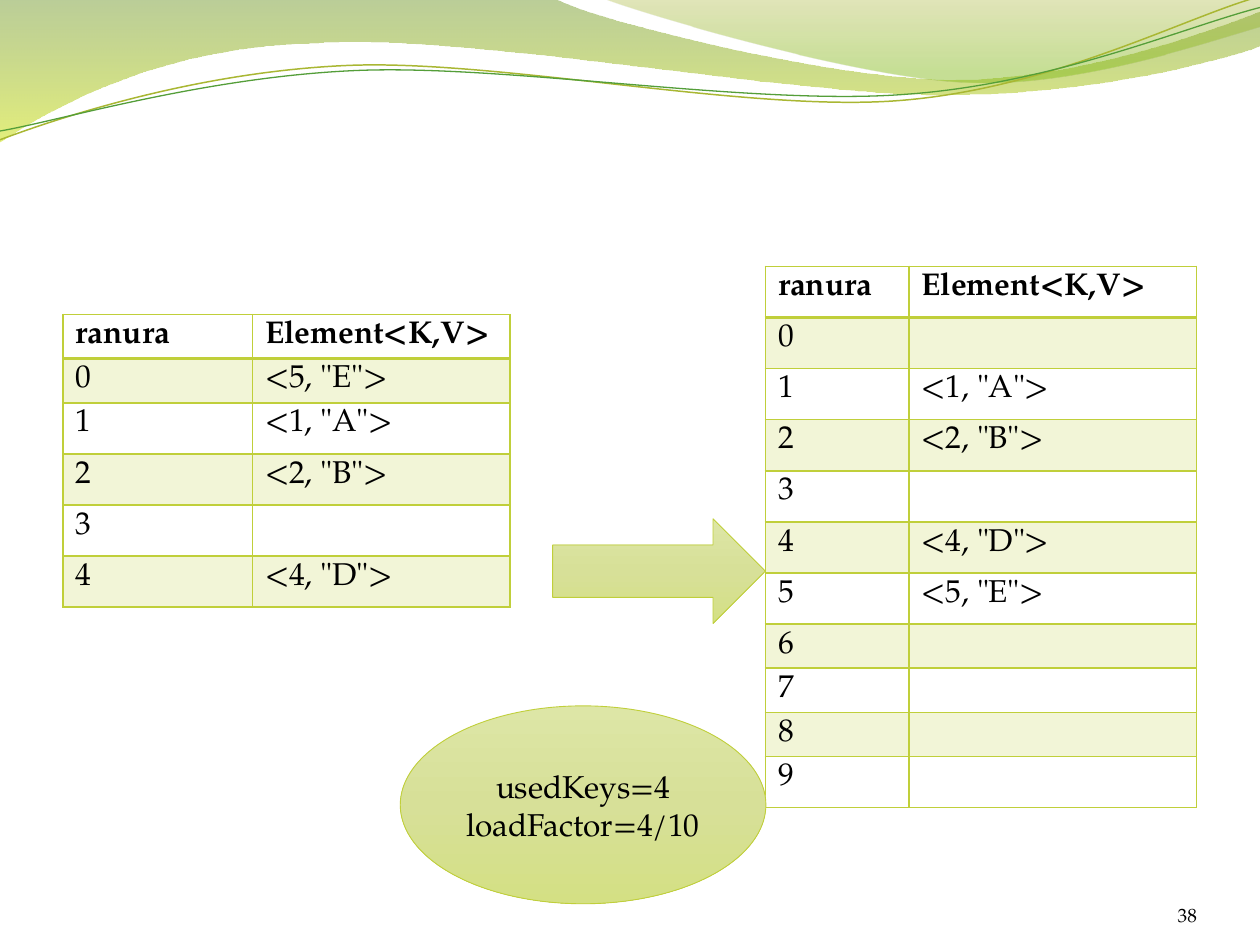
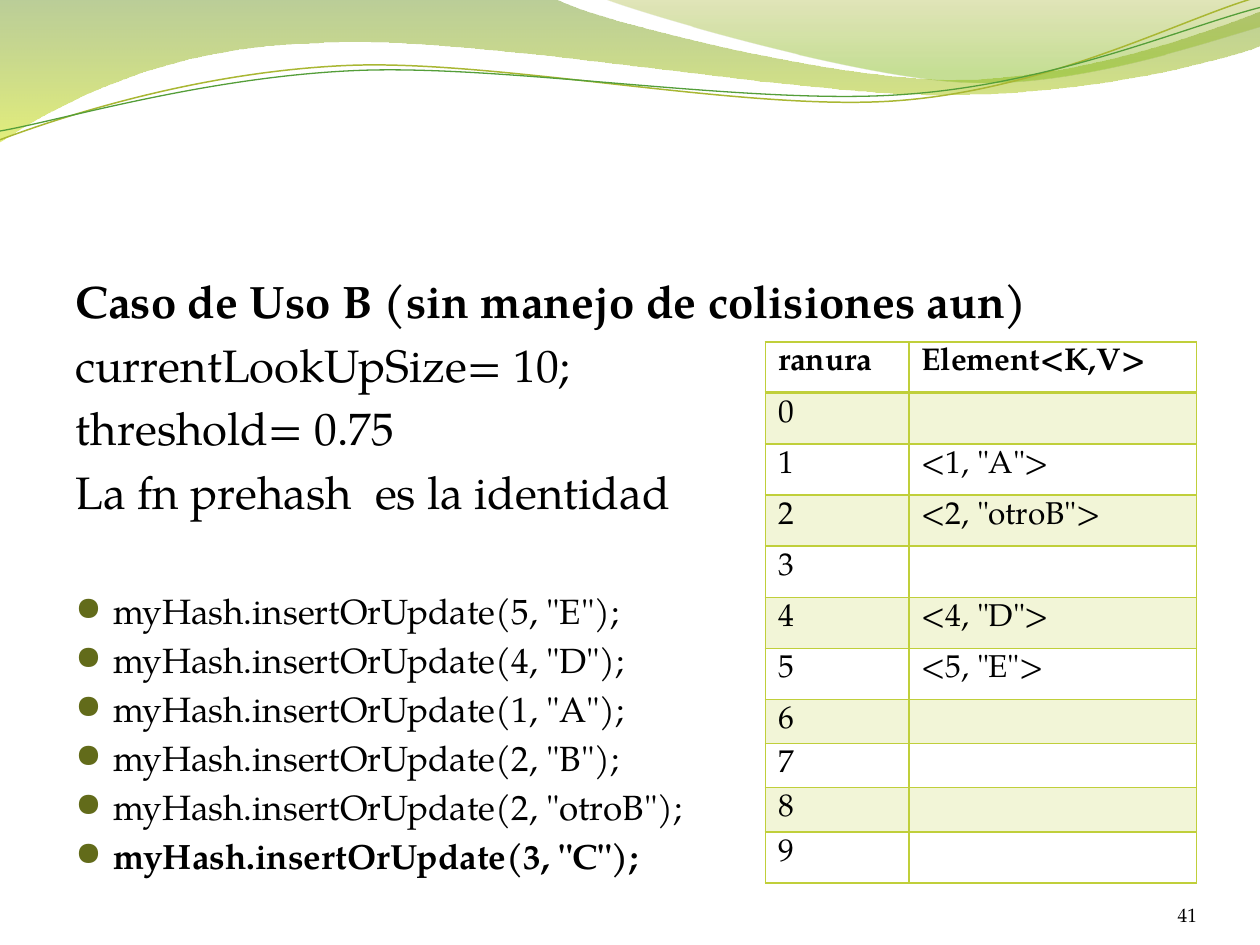
from math import cos, radians, sin

from lxml import etree
from pptx import Presentation
from pptx.dml.color import RGBColor
from pptx.enum import shapes, text
from pptx.oxml.ns import qn
from pptx.util import Cm, Pt

FONT = "TeX Gyre Pagella"
BLACK, LIME, OLIVE = "000000", "C0CF3A", "626B1A"
WIDTH, HEIGHT = Cm(25.4), Cm(19.05)
UNIT = WIDTH / 10  # the wave coordinates divide the slide width into ten

# Each step is a line (x, y) or a curve (two control points and an end point).
# Gradient stops: position, colour, opacity, all in percent.
BANDS = [
    ([(0, 0), (4.4, -0.01),
      (4.75, 0.17, 6.63, 0.63, 7.58, 0.63), (8.53, 0.63, 9.58, 0.26, 10, 0.09),
      (10.01, 0.36),
      (9.83, 0.44, 8.69, 0.76, 7.46, 0.75), (6.22, 0.75, 3.81, 0.28, 2.57, 0.34),
      (1.29, 0.36, 0.46, 0.83, -0.01, 1.13), (0, 0)],
     [(0, "69921C", 45), (100, "CCE10F", 55)]),
    ([(4.79, -0.01),
      (5.09, 0.11, 6.82, 0.62, 7.68, 0.65), (8.55, 0.69, 9.61, 0.32, 10, 0.21),
      (10, 0), (4.79, -0.01)],
     [(0, "9BAA1A", 30), (80, "81BA16", 45)]),
]
WAVE_TILT = -2.7
# Steps, centre of the tilt, colour, line width
WAVES = [
    ([(0, 1.11), (0.48, 0.93, 1.57, 0.57, 2.76, 0.52),
      (3.95, 0.47, 5.92, 0.89, 7.12, 0.8), (8.33, 0.71, 9.38, 0.15, 9.97, -0.02)],
     (4.99, 0.58), "A9B733", 0.85),
    ([(0, 1.04), (0.47, 0.96, 1.63, 0.61, 2.83, 0.56),
      (4.02, 0.51, 5.97, 0.84, 7.17, 0.75), (8.36, 0.67, 9.41, 0.21, 10, 0.06)],
     (5, 0.59), "549E39", 0.75),
]
LIME_GRADIENT = [(0, "DDE6A6", 100), (50, "D7E098", 100), (100, "D4E084", 100)]

HEADER = ("ranura", "Element<K,V>")
SMALL_TABLE = ['<5, "E">', '<1, "A">', '<2, "B">', "", '<4, "D">']
GROWN_TABLE = ["", '<1, "A">', '<2, "B">', "", '<4, "D">', '<5, "E">', "", "", "", ""]
UPDATED_TABLE = [slot.replace('"B"', '"otroB"') for slot in GROWN_TABLE]

TALL, SHORT = Cm(1.03), Cm(0.88)
SMALL_ROWS = [SHORT] * 2 + [TALL] * 4
GROWN_ROWS = [TALL] * 7 + [SHORT] * 3 + [TALL]
SMALL_COLUMNS = Cm(3.82), Cm(5.19)
GROWN_COLUMNS = Cm(2.89), Cm(5.8)
GROWN_LEFT = Cm(15.43)

LOAD_STATE = ["usedKeys=4", "loadFactor=4/10"]
USE_CASE = [
    "Caso de Uso B (sin manejo de colisiones aun)",
    "currentLookUpSize= 10;",
    "threshold= 0.75",
    "La fn prehash  es la identidad",
]
CALLS = [f"myHash.insertOrUpdate({pair});" for pair in
         ('5, "E"', '4, "D"', '1, "A"', '2, "B"', '2, "otroB"', '3, "C"')]


def rgb(value):
    return RGBColor.from_string(value)


def add_color(parent, value, opacity=100):
    color = etree.SubElement(parent, qn("a:srgbClr"), val=value)
    if opacity < 100:
        etree.SubElement(color, qn("a:alpha"), val=str(opacity * 1000))


def set_font(paragraph, size, bold=False):
    font = paragraph.font
    font.name, font.size, font.bold = FONT, Pt(size), bold
    font.color.rgb = rgb(BLACK)


def fill_gradient(shape, stops):
    """Fill a shape from top to bottom."""
    shape.fill.gradient()
    shape.fill.gradient_angle = 270
    stop_list = shape.element.spPr.find(qn("a:gradFill")).find(qn("a:gsLst"))
    for stop in list(stop_list):
        stop_list.remove(stop)
    for position, color, opacity in stops:
        stop = etree.SubElement(stop_list, qn("a:gs"), pos=str(position * 1000))
        add_color(stop, color, opacity)


def turn(point, center, angle):
    """Turn a point clockwise around a center."""
    x, y = point[0] - center[0], point[1] - center[1]
    cosine, sine = cos(radians(angle)), sin(radians(angle))
    return center[0] + x * cosine - y * sine, center[1] + x * sine + y * cosine


def add_outline(page, steps, close, center=(0, 0), tilt=0):
    """Draw lines and curves: lines through all points, then curves from each three."""
    points = [turn(step[i:i + 2], center, -tilt)
              for step in steps for i in range(0, len(step), 2)]
    points = [(round(x * UNIT), round(y * UNIT)) for x, y in points]
    builder = page.shapes.build_freeform(*points[0])
    builder.add_line_segments(points[1:], close=close)
    shape = builder.convert_to_shape()
    segments = iter(list(shape.element.iter(qn("a:lnTo"))))
    for step in steps[1:]:
        segment = next(segments)
        if len(step) == 6:
            curve = etree.Element(qn("a:cubicBezTo"))
            segment.addprevious(curve)
            for part in (segment, next(segments), next(segments)):
                curve.append(part[0])
                part.getparent().remove(part)
    shape.rotation = tilt
    shape.shadow.inherit = False
    return shape


def add_page(deck, number):
    """Add a blank page with the waves on top and its number."""
    page = deck.slides.add_slide(deck.slide_layouts[6])
    for steps, stops in BANDS:
        band = add_outline(page, steps, True)
        fill_gradient(band, stops)
        band.line.fill.background()
    for steps, center, color, width in WAVES:
        wave = add_outline(page, steps, False, center, WAVE_TILT)
        wave.fill.background()
        wave.line.color.rgb = rgb(color)
        wave.line.width = Pt(width)
    box = page.shapes.add_textbox(Cm(22.02), Cm(17.65), Cm(2.11), Cm(1.02))
    frame = box.text_frame
    frame.word_wrap = True
    frame.margin_left = frame.margin_right = frame.margin_top = frame.margin_bottom = 0
    frame.vertical_anchor = text.MSO_ANCHOR.BOTTOM
    paragraph = frame.paragraphs[0]
    paragraph.text = str(number)
    paragraph.alignment = text.PP_ALIGN.RIGHT
    set_font(paragraph, 11)
    return page


def style_cell(cell, top, bottom, shaded):
    """Set the border widths and the pale fill of a cell."""
    properties = cell._tc.get_or_add_tcPr()
    for side, width in (("L", 1), ("R", 1), ("T", top), ("B", bottom)):
        line = etree.SubElement(properties, qn(f"a:ln{side}"), w=str(Pt(width)))
        add_color(etree.SubElement(line, qn("a:solidFill")), LIME)
    if shaded:
        add_color(etree.SubElement(properties, qn("a:solidFill")), LIME, 20)
    else:
        cell.fill.background()


def add_hash_table(page, left, top, columns, heights, slots):
    rows = [HEADER] + [(str(index), slot) for index, slot in enumerate(slots)]
    table = page.shapes.add_table(len(rows), len(columns), left, top,
                                  sum(columns), sum(heights)).table
    for column, width in zip(table.columns, columns):
        column.width = width
    for index, (row, height, values) in enumerate(zip(table.rows, heights, rows)):
        row.height = height
        for cell, value in zip(row.cells, values):
            style_cell(cell, 2 if index == 1 else 1, 2 if index == 0 else 1, index % 2)
            cell.margin_bottom = 0
            paragraph = cell.text_frame.paragraphs[0]
            if value:
                paragraph.text = value
            set_font(paragraph, 18, bold=index == 0)


def add_lime_shape(page, kind, left, top, width, height):
    shape = page.shapes.add_shape(kind, left, top, width, height)
    shape.shadow.inherit = False
    fill_gradient(shape, LIME_GRADIENT)
    shape.line.color.rgb = rgb(LIME)
    shape.line.width = Pt(0.5)
    return shape


def add_bullet(paragraph):
    properties = paragraph._p.get_or_add_pPr()
    properties.set("marL", str(Cm(0.76)))
    properties.set("indent", str(-Cm(0.76)))
    add_color(etree.SubElement(properties, qn("a:buClr")), OLIVE)
    etree.SubElement(properties, qn("a:buSzPct"), val="95000")
    etree.SubElement(properties, qn("a:buFont"), typeface="OpenSymbol")
    etree.SubElement(properties, qn("a:buChar"), char="●")


def add_paragraphs(frame, lines):
    """Write the lines into an empty frame and yield their paragraphs."""
    for index, line in enumerate(lines):
        paragraph = frame.add_paragraph() if index else frame.paragraphs[0]
        paragraph.text = line
        yield paragraph


def build_resize_page(deck):
    page = add_page(deck, 38)
    add_hash_table(page, GROWN_LEFT, Cm(5.37), GROWN_COLUMNS, GROWN_ROWS, GROWN_TABLE)
    add_hash_table(page, Cm(1.27), Cm(6.34), SMALL_COLUMNS, SMALL_ROWS, SMALL_TABLE)
    add_lime_shape(page, shapes.MSO_SHAPE.RIGHT_ARROW,
                   Cm(11.14), Cm(10.46), Cm(4.29), Cm(2.11))
    load = add_lime_shape(page, shapes.MSO_SHAPE.OVAL,
                          Cm(8.07), Cm(14.23), Cm(7.37), Cm(3.99))
    load.text_frame.vertical_anchor = text.MSO_ANCHOR.MIDDLE
    for paragraph in add_paragraphs(load.text_frame, LOAD_STATE):
        paragraph.alignment = text.PP_ALIGN.CENTER
        set_font(paragraph, 18)


def build_use_case_page(deck):
    page = add_page(deck, 41)
    frame = page.shapes.add_textbox(Cm(1.27), Cm(5.38), Cm(22.86), Cm(12.19)).text_frame
    frame.word_wrap = True
    lines = USE_CASE + CALLS
    first_call = len(USE_CASE)
    for index, paragraph in enumerate(add_paragraphs(frame, lines)):
        is_call = index >= first_call
        size = 20 if is_call else 26
        if is_call:
            add_bullet(paragraph)
        if index:
            paragraph.space_before = Pt(40.6 if index == first_call else size * 0.2)
        set_font(paragraph, size, bold=index in (0, len(lines) - 1))
    add_hash_table(page, GROWN_LEFT, Cm(6.89), GROWN_COLUMNS, GROWN_ROWS, UPDATED_TABLE)


def main():
    deck = Presentation()
    deck.slide_width, deck.slide_height = WIDTH, HEIGHT
    build_resize_page(deck)
    build_use_case_page(deck)
    deck.save("out.pptx")


if __name__ == "__main__":
    main()
